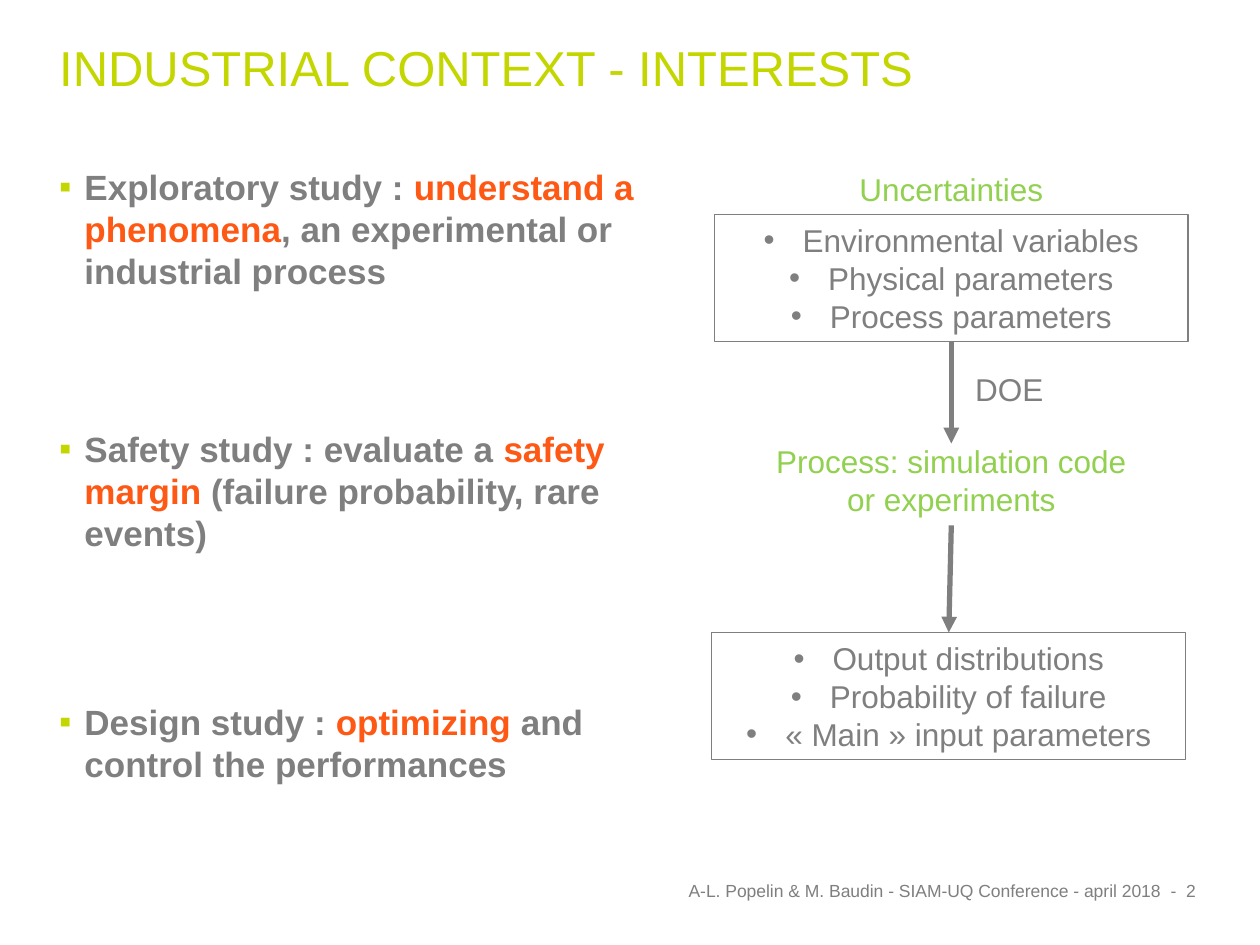
from dataclasses import dataclass

from lxml.etree import SubElement
from pptx import Presentation
from pptx.dml.color import RGBColor
from pptx.enum.shapes import MSO_CONNECTOR as Connector, MSO_SHAPE as Shape
from pptx.enum.text import MSO_ANCHOR as Anchor, MSO_AUTO_SIZE as AutoSize, PP_ALIGN as Align
from pptx.oxml.ns import qn
from pptx.util import Inches, Pt


@dataclass(frozen=True)
class Theme:
    font: str = "Arial"
    lime: str = "C4D600"
    green: str = "92D050"
    orange: str = "FE5815"
    gray: str = "7F7F7F"
    title: int = 28
    study: int = 20
    diagram: int = 18
    footer: int = 10


THEME = Theme()

TITLE = "INDUSTRIAL CONTEXT - INTERESTS"
# Space before in points, then runs of (text, highlighted)
STUDIES = [
    (18, [("Exploratory study : ", False), ("understand a phenomena", True),
          (", an experimental or industrial process", False)]),
    (78, [("Safety study : evaluate a ", False), ("safety margin ", True),
          ("(failure probability, rare events)", False)]),
    (84, [("Design study : ", False), ("optimizing", True),
          (" and control the performances", False)]),
]
INPUTS = ["Environmental variables", "Physical parameters", "Process parameters"]
OUTPUTS = ["Output distributions", "Probability of failure", "« Main » input parameters"]
# Text, position and size, colour
LABELS = {
    "uncertainties": ("Uncertainties", (5.95, 1.3, 3.2, 0.4), THEME.green),
    "process": ("Process: simulation code or experiments", (5.95, 3.46, 3.2, 0.71), THEME.green),
    "doe": ("DOE", (7.2, 2.89, 1.62, 0.4), THEME.gray),
}
FOOTERS = [
    ("A-L. Popelin & M. Baudin - SIAM-UQ Conference - april 2018",
     (3.11, 6.98, 6.14, 0.17), Align.RIGHT, 0.04),
    ("-  2", (9.25, 6.98, 0.42, 0.17), Align.LEFT, 0),
]


def inches(values):
    return [Inches(value) for value in values]


def add_span(para, text, size, color, bold=False):
    span = para.add_run()
    span.text = text
    span.font.name = THEME.font
    span.font.size = Pt(size)
    span.font.bold = bold
    span.font.color.rgb = RGBColor.from_string(color)


def set_bullet(para, char, indent, color=None):
    props = para._p.get_or_add_pPr()
    props.set("marL", str(Inches(indent)))
    props.set("indent", str(-Inches(indent)))
    if color:
        SubElement(SubElement(props, qn("a:buClr")), qn("a:srgbClr"), val=color)
    SubElement(props, qn("a:buFont"), typeface=THEME.font)
    SubElement(props, qn("a:buChar"), char=char)


def set_margins(frame, left, right):
    frame.margin_left, frame.margin_right = Inches(left), Inches(right)
    frame.margin_top = frame.margin_bottom = 0


def next_para(frame, index):
    return frame.add_paragraph() if index else frame.paragraphs[0]


def place(holder, area):
    """Move a placeholder and give it top-aligned text with narrow margins."""
    holder.left, holder.top, holder.width, holder.height = inches(area)
    frame = holder.text_frame
    frame.auto_size = AutoSize.NONE
    frame.word_wrap = True
    frame.vertical_anchor = Anchor.TOP
    set_margins(frame, 0.04, 0.04)
    return frame


def add_label(page, text, area, color):
    box = page.shapes.add_textbox(*inches(area))
    frame = box.text_frame
    frame.word_wrap = True
    frame.auto_size = AutoSize.SHAPE_TO_FIT_TEXT
    para = frame.paragraphs[0]
    para.alignment = Align.CENTER
    add_span(para, text, THEME.diagram, color)
    return box


def add_list_box(page, items, left, top):
    box = page.shapes.add_shape(Shape.RECTANGLE, *inches((left, top, 3.76, 1.01)))
    box.shadow.inherit = False
    box.fill.background()
    box.line.color.rgb = RGBColor.from_string(THEME.gray)
    box.line.width = Pt(0.75)
    frame = box.text_frame
    frame.word_wrap = True
    frame.auto_size = AutoSize.SHAPE_TO_FIT_TEXT
    for index, item in enumerate(items):
        para = next_para(frame, index)
        para.alignment = Align.CENTER
        set_bullet(para, "•", 0.31)
        add_span(para, item, THEME.diagram, THEME.gray)
    return box


def add_arrow(page, start, end):
    arrow = page.shapes.add_connector(Connector.STRAIGHT, *inches(start + end))
    arrow.line.color.rgb = RGBColor.from_string(THEME.gray)
    arrow.line.width = Pt(3)
    SubElement(arrow.line._get_or_add_ln(), qn("a:tailEnd"), type="triangle")
    SubElement(arrow._element.spPr, qn("a:effectLst"))
    return arrow


def add_footer(page, text, area, align, right_margin):
    frame = page.shapes.add_textbox(*inches(area)).text_frame
    frame.word_wrap = False
    frame.vertical_anchor = Anchor.MIDDLE
    set_margins(frame, 0.04, right_margin)
    para = frame.paragraphs[0]
    para.alignment = align
    add_span(para, text, THEME.footer, THEME.gray)


def main():
    deck = Presentation()
    deck.slide_width, deck.slide_height = Inches(10), Inches(7.5)
    page = deck.slides.add_slide(deck.slide_layouts[1])

    heading = place(page.shapes.title, (0.43, 0.3, 9.14, 0.93)).paragraphs[0]
    heading.alignment = Align.LEFT
    add_span(heading, TITLE, THEME.title, THEME.lime)

    body = place(page.placeholders[1], (0.43, 1.31, 5.16, 4.6))
    for index, (gap, spans) in enumerate(STUDIES):
        para = next_para(body, index)
        para.space_before = Pt(gap)
        set_bullet(para, "▪", 0.2, THEME.lime)
        for text, highlighted in spans:
            color = THEME.orange if highlighted else THEME.gray
            add_span(para, text, THEME.study, color, bold=True)

    inputs = add_list_box(page, INPUTS, 5.67, 1.7)
    outputs = add_list_box(page, OUTPUTS, 5.65, 5.02)
    labels = {name: add_label(page, *label) for name, label in LABELS.items()}

    sampling = add_arrow(page, (7.55, 2.71), (7.55, 3.52))
    sampling.begin_connect(inputs, 2)
    results = add_arrow(page, (7.55, 4.17), (7.53, 5.02))
    results.begin_connect(labels["process"], 2)
    results.end_connect(outputs, 0)

    for footer in FOOTERS:
        add_footer(page, *footer)

    deck.save("out.pptx")


if __name__ == "__main__":
    main()
